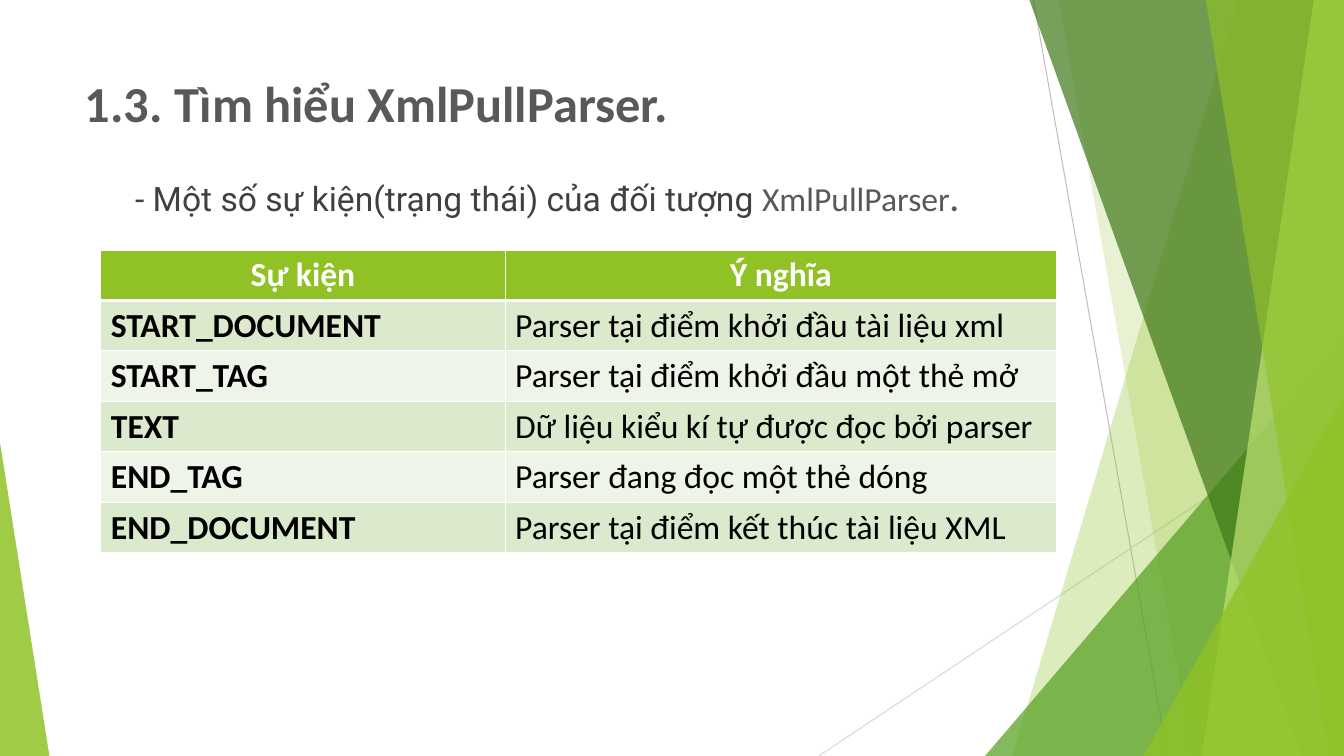
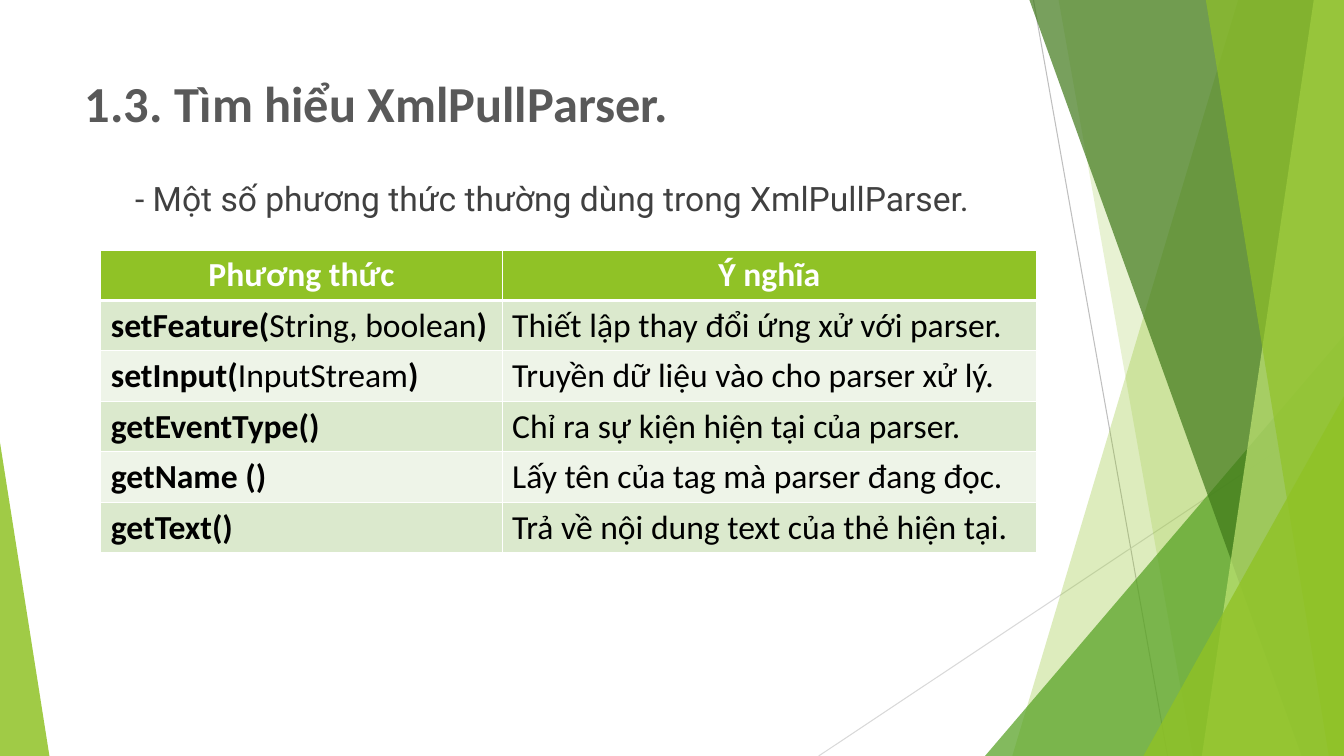
from lxml import etree
from pptx import Presentation
from pptx import util as u
from pptx.dml.color import RGBColor
from pptx.enum import shapes, text
from pptx.oxml.ns import qn

WIDTH, HEIGHT = 13.33, 7.5
GREEN, WHITE, BLACK, GREY = "90C226", "FFFFFF", "000000", "595959"
BANDS = ["DBE9CD", "EEF4E8"]
LEFT, TEXT_WIDTH = 0.74, 9.4
TABLE_LEFT, TABLE_TOP, ROW_HEIGHT = 1, 2.48, 0.5

TITLE_STYLE = {"size": u.Pt(36), "name": "Calibri", "bold": True}
LEAD_STYLE = {"size": u.Pt(24), "name": "Roboto", "bold": False}
CELL_STYLE = {"size": u.Pt(24), "name": "Calibri", "bold": False}
STRONG_STYLE = CELL_STYLE | {"bold": True}

# Rays of the backdrop: x at the top, x at the bottom, colour, opacity
# Corners: left, top, width, position of the tip, colour, opacity
BACKDROP = [
    ("ray", (12.28, 10.04), GREEN, 30),
    ("ray", (10.5, 11.83), GREEN, 20),
    ("corner", (9.77, 3.33, 3.56, 1), "54A021", 72),
    ("ray", (10.21, 12.91), "3F7819", 70),
    ("ray", (13.03, 11.92), "C0E474", 70),
    ("ray", (11.96, 13.18), GREEN, 65),
    ("corner", (11.34, 3.93, 1.99, 1), GREEN, 80),
    ("corner", (0, 4.39, 0.49, 0), GREEN, 85),
]
THIN_LINES = [
    ((10.25, 0, 11.58, HEIGHT), "BFBFBF"),
    ((WIDTH, 4.03, 8.12, HEIGHT), "D9D9D9"),
]

TITLE = "1.3. Tìm hiểu XmlPullParser."
# Names in the first column alternate between bold and regular parts
TOPICS = [
    {
        "lead": [
            ("- Một số sự kiện(trạng thái) của đối tượng ", LEAD_STYLE, "404040"),
            ("XmlPullParser", CELL_STYLE, GREY),
            (".", STRONG_STYLE, GREY),
        ],
        "columns": [4.01, 5.47],
        "header": ["Sự kiện", "Ý nghĩa"],
        "rows": [
            (["START_DOCUMENT"], "Parser tại điểm khởi đầu tài liệu xml"),
            (["START_TAG"], "Parser tại điểm khởi đầu một thẻ mở"),
            (["TEXT"], "Dữ liệu kiểu kí tự được đọc bởi parser"),
            (["END_TAG"], "Parser đang đọc một thẻ dóng"),
            (["END_DOCUMENT"], "Parser tại điểm kết thúc tài liệu XML"),
        ],
    },
    {
        "lead": [
            ("- Một số phương thức thường dùng trong XmlPullParser.", LEAD_STYLE, "404040"),
        ],
        "columns": [3.98, 5.3],
        "header": ["Phương thức", "Ý nghĩa"],
        "rows": [
            (["setFeature(", "String, boolean", ")"], "Thiết lập thay đổi ứng xử với parser."),
            (["setInput(", "InputStream", ")"], "Truyền dữ liệu vào cho parser xử lý."),
            (["getEventType()"], "Chỉ ra sự kiện hiện tại của parser."),
            (["getName ()"], "Lấy tên của tag mà parser đang đọc."),
            (["getText()"], "Trả về nội dung text của thẻ hiện tại."),
        ],
    },
]


def paint(fill, colour):
    fill.solid()
    fill.fore_color.rgb = RGBColor.from_string(colour)


def write(frame, runs, align):
    """Fill the first paragraph with (words, style, colour) runs."""
    paragraph = frame.paragraphs[0]
    paragraph.alignment = align
    for words, style, colour in runs:
        run = paragraph.add_run()
        run.text = words
        for attribute, value in style.items():
            setattr(run.font, attribute, value)
        paint(run.font.fill, colour)
    return paragraph


deck = Presentation()
deck.slide_width, deck.slide_height = u.Inches(WIDTH), u.Inches(HEIGHT)

# Shared layout: only the title placeholder, in its place
layout = deck.slide_layouts.get_by_name("Title Only")
for holder in list(layout.placeholders):
    if holder.placeholder_format.idx:
        holder.element.getparent().remove(holder.element)
    else:
        holder.left, holder.top = u.Inches(LEFT), u.Inches(0.67)
        holder.width, holder.height = u.Inches(TEXT_WIDTH), u.Inches(1.05)
        holder.text_frame.vertical_anchor = text.MSO_ANCHOR.TOP

slides = [deck.slides.add_slide(layout) for topic in TOPICS]

# The backdrop is drawn as one group, then moved to the layout
backdrop = slides[0].shapes.add_group_shape()
for ends, colour in THIN_LINES:
    thin = backdrop.shapes.add_connector(
        shapes.MSO_CONNECTOR.STRAIGHT, *[u.Inches(end) for end in ends])
    thin.line.width = u.Pt(0.75)
    paint(thin.line.fill, colour)
    etree.SubElement(thin.element.spPr, qn("a:effectLst"))

for kind, place, colour, opacity in BACKDROP:
    if kind == "ray":
        top_x, bottom_x = place
        corners = [(u.Inches(x), u.Inches(y)) for x, y in
                   [(top_x, 0), (WIDTH, 0), (WIDTH, HEIGHT), (bottom_x, HEIGHT)]]
        outline = backdrop.shapes.build_freeform(*corners[0])
        outline.add_line_segments(corners[1:], close=True)
        panel = outline.convert_to_shape()
    else:
        left, top, width, tip = place
        panel = backdrop.shapes.add_shape(
            shapes.MSO_SHAPE.ISOSCELES_TRIANGLE, u.Inches(left), u.Inches(top),
            u.Inches(width), u.Inches(HEIGHT - top))
        panel.adjustments[0] = tip
    panel.shadow.inherit = False
    panel.line.fill.background()
    paint(panel.fill, colour)
    tint = panel.element.spPr.find(qn("a:solidFill")).find(qn("a:srgbClr"))
    etree.SubElement(tint, qn("a:alpha"), val=str(opacity * 1000))
layout.shapes.element.append(backdrop.element)

for slide, topic in zip(slides, TOPICS):
    title = slide.shapes.title.text_frame
    title.vertical_anchor = text.MSO_ANCHOR.TOP
    write(title, [(TITLE, TITLE_STYLE, GREY)], text.PP_ALIGN.JUSTIFY)

    lead = slide.shapes.add_textbox(
        u.Inches(LEFT), u.Inches(1.72), u.Inches(TEXT_WIDTH), u.Inches(0.7)).text_frame
    lead.word_wrap = True
    lead.margin_left = u.Inches(0.6)
    write(lead, topic["lead"], text.PP_ALIGN.JUSTIFY).space_before = u.Pt(10)

    row_count = len(topic["rows"]) + 1
    frame = slide.shapes.add_table(
        row_count, len(topic["columns"]), u.Inches(TABLE_LEFT), u.Inches(TABLE_TOP),
        u.Inches(sum(topic["columns"])), u.Inches(ROW_HEIGHT * row_count))
    table = frame.table
    for column, width in zip(table.columns, topic["columns"]):
        column.width = u.Inches(width)

    for cell, heading in zip(table.rows[0].cells, topic["header"]):
        paint(cell.fill, GREEN)
        write(cell.text_frame, [(heading, STRONG_STYLE, WHITE)], text.PP_ALIGN.CENTER)
    for index, (name_parts, meaning) in enumerate(topic["rows"]):
        name_runs = [(part, CELL_STYLE if i % 2 else STRONG_STYLE, BLACK)
                     for i, part in enumerate(name_parts)]
        meaning_runs = [(meaning, CELL_STYLE, BLACK)]
        for cell, runs in zip(table.rows[index + 1].cells, [name_runs, meaning_runs]):
            paint(cell.fill, BANDS[index % 2])
            write(cell.text_frame, runs, text.PP_ALIGN.LEFT)

    # White rules between cells, thicker under the header
    for row, row_xml in enumerate(frame.element.iter(qn("a:tr"))):
        thick_edge = {0: "lnB", 1: "lnT"}.get(row)
        for properties in row_xml.iter(qn("a:tcPr")):
            for position, edge in enumerate(["lnL", "lnR", "lnT", "lnB"]):
                points = 3 if edge == thick_edge else 1
                rule = etree.Element(qn(f"a:{edge}"), w=str(u.Pt(points)))
                ink = etree.SubElement(rule, qn("a:solidFill"))
                etree.SubElement(ink, qn("a:srgbClr"), val=WHITE)
                properties.insert(position, rule)

deck.save("out.pptx")
